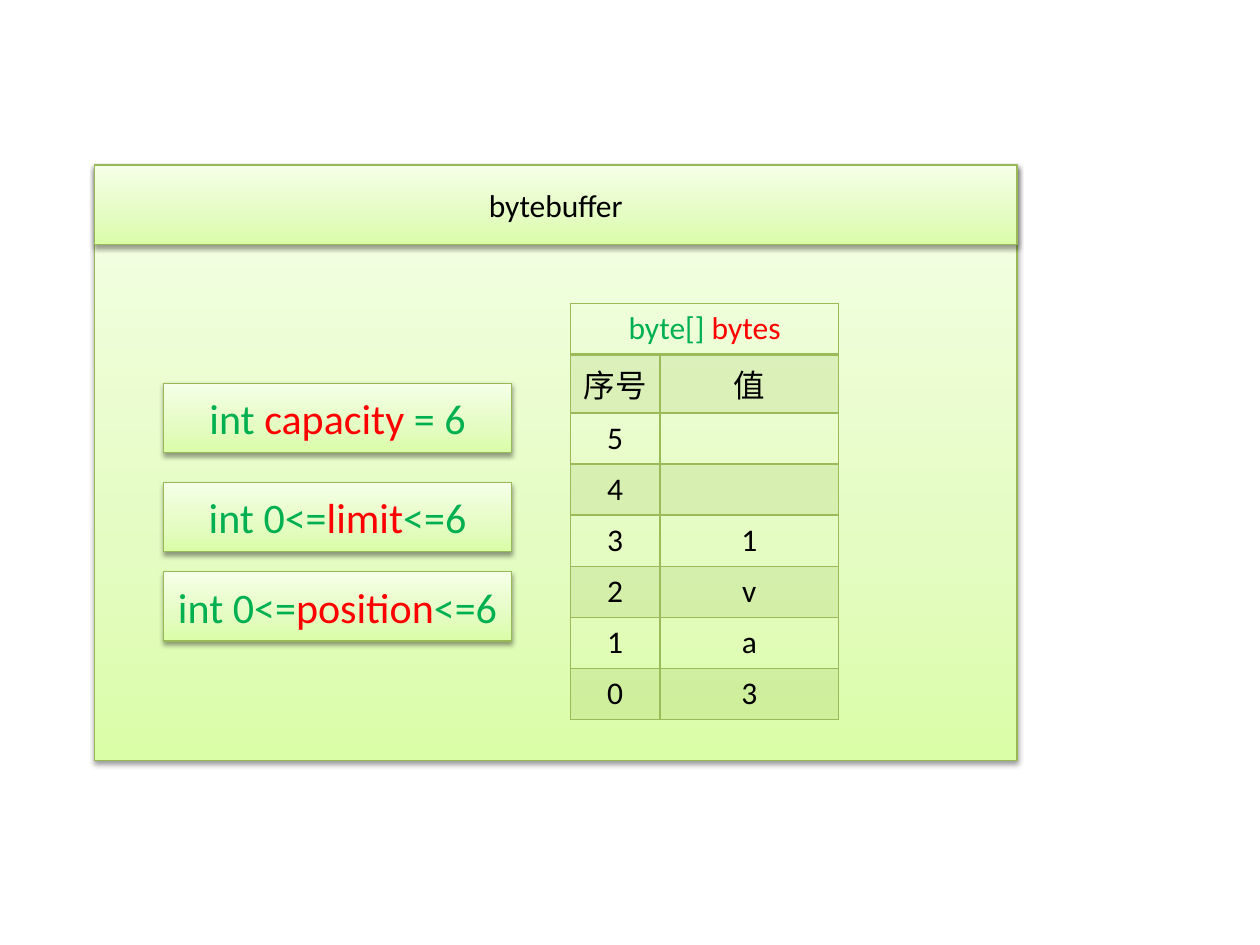
from dataclasses import dataclass

from pptx import Presentation
from pptx.dml.color import RGBColor
from pptx.enum.shapes import MSO_SHAPE
from pptx.enum.text import MSO_ANCHOR, PP_ALIGN
from pptx.oxml import parse_xml
from pptx.oxml.ns import nsdecls, qn
from pptx.util import Pt


@dataclass(frozen=True)
class Theme:
    """Colours and type sizes of the slide."""
    font: str = "Calibri"
    body: int = 18
    field: int = 24
    black: str = "000000"
    green: str = "00B050"
    red: str = "FF0000"
    outline: str = "98B955"
    grid: str = "9BBB59"
    band_opacity: int = 20
    gradient: tuple = ((0, "DAFDA7"), (35, "E4FCC2"), (100, "F5FFE7"))


@dataclass(frozen=True)
class Box:
    """A rectangle in points."""
    left: float
    top: float
    width: float
    height: float

    def inner(self, left, top, width, height):
        """Return a box placed relative to this one."""
        return Box(self.left + left, self.top + top, width, height)

    def lengths(self):
        """Return left, top, width and height as lengths."""
        return [Pt(value) for value in (self.left, self.top, self.width, self.height)]


THEME = Theme()


def write_text(frame, *runs, size=THEME.body, align=PP_ALIGN.CENTER):
    """Write (text, colour) runs as one paragraph."""
    paragraph = frame.paragraphs[0]
    paragraph.alignment = align
    for text, colour in runs:
        run = paragraph.add_run()
        run.text = text
        run.font.name = THEME.font
        run.font.size = Pt(size)
        run.font.color.rgb = RGBColor.from_string(colour)


def add_panel(slide, box, *runs, size=THEME.body):
    """Add a shaded rectangle with a soft shadow and centred text."""
    shape = slide.shapes.add_shape(MSO_SHAPE.RECTANGLE, *box.lengths())
    shape.line.color.rgb = RGBColor.from_string(THEME.outline)
    shape.line.width = Pt(0.75)
    shape.shadow.inherit = False
    properties = shape._element.spPr
    stops = "".join(
        f'<a:gs pos="{position * 1000}"><a:srgbClr val="{colour}"/></a:gs>'
        for position, colour in THEME.gradient
    )
    properties.find(qn("a:prstGeom")).addnext(parse_xml(
        f'<a:gradFill {nsdecls("a")} rotWithShape="1"><a:gsLst>{stops}</a:gsLst>'
        '<a:lin ang="16200000" scaled="0"/></a:gradFill>'
    ))
    properties.find(qn("a:effectLst")).append(parse_xml(
        f'<a:outerShdw {nsdecls("a")} blurRad="{Pt(3.1)}" dist="{Pt(1.6)}" '
        f'dir="5400000" rotWithShape="0"><a:srgbClr val="{THEME.black}">'
        '<a:alpha val="38000"/></a:srgbClr></a:outerShdw>'
    ))
    frame = shape.text_frame
    frame.word_wrap = True
    frame.vertical_anchor = MSO_ANCHOR.MIDDLE
    write_text(frame, *runs, size=size)


def style_cell(cell, banded, **border_widths):
    """Set the fill and the four borders of a table cell."""
    properties = cell._tc.get_or_add_tcPr()
    if banded:
        cell.fill.solid()
        cell.fill.fore_color.rgb = RGBColor.from_string(THEME.grid)
        properties.find(".//" + qn("a:srgbClr")).append(
            parse_xml(f'<a:alpha {nsdecls("a")} val="{THEME.band_opacity * 1000}"/>'))
    else:
        cell.fill.background()
    for index, side in enumerate("LRTB"):
        width = Pt(border_widths.get(side, 1))
        properties.insert(index, parse_xml(
            f'<a:ln{side} {nsdecls("a")} w="{width}"><a:solidFill>'
            f'<a:srgbClr val="{THEME.grid}"/></a:solidFill></a:ln{side}>'
        ))


def add_byte_table(slide, box, rows):
    """Add the byte array table with a merged heading row."""
    table = slide.shapes.add_table(len(rows) + 1, 2, *box.lengths()).table
    table._tbl.tblPr.find(qn("a:tableStyleId")).text = "{2D5ABB26-0587-4C30-8999-92F81FD0307C}"
    for column, share in zip(table.columns, (1, 2)):
        column.width = Pt(box.width * share / 3)
    for row in table.rows:
        row.height = Pt(box.height / (len(rows) + 1))
    heading = table.cell(0, 0)
    heading.merge(table.cell(0, 1))
    write_text(heading.text_frame, ("byte[] ", THEME.green), ("bytes", THEME.red))
    for cell in table.rows[0].cells:
        style_cell(cell, False, B=2)
    for number, values in enumerate(rows, start=1):
        for cell, value in zip(table.rows[number].cells, values):
            style_cell(cell, number % 2 == 1, T=2 if number == 1 else 1)
            if value:
                write_text(cell.text_frame, (value, THEME.black))


def add_fields(slide, box, fields):
    """Add the integer fields, each at its offset from the top of the box."""
    for offset, before, name, after in fields:
        add_panel(slide, box.inner(0, offset, box.width, 39.5),
                  (before, THEME.green), (name, THEME.red), (after, THEME.green),
                  size=THEME.field)


def add_bytebuffer(slide, box):
    """Add the bytebuffer panel with its table, title and fields."""
    add_panel(slide, box)
    add_byte_table(slide, box.inner(272, 79.25, 153.3, 233.6), (
        ("序号", "值"), ("5", ""), ("4", ""), ("3", "1"), ("2", "v"), ("1", "a"), ("0", "3"),
    ))
    add_panel(slide, box.inner(0, 0, box.width, 45.5), ("bytebuffer", THEME.black))
    add_fields(slide, box.inner(39.5, 124.75, 198.75, 148), (
        (0, "int ", "capacity", " = 6"),
        (56.75, "int 0<=", "limit", "<=6"),
        (107.75, "int 0<=", "position", "<=6"),
    ))


def main():
    """Build the presentation and save it."""
    presentation = Presentation()
    presentation.slide_width, presentation.slide_height = Pt(720), Pt(540)
    slide = presentation.slides.add_slide(presentation.slide_layouts[6])
    add_bytebuffer(slide, Box(54, 94.25, 527.25, 340.25))
    presentation.save("out.pptx")


main()
